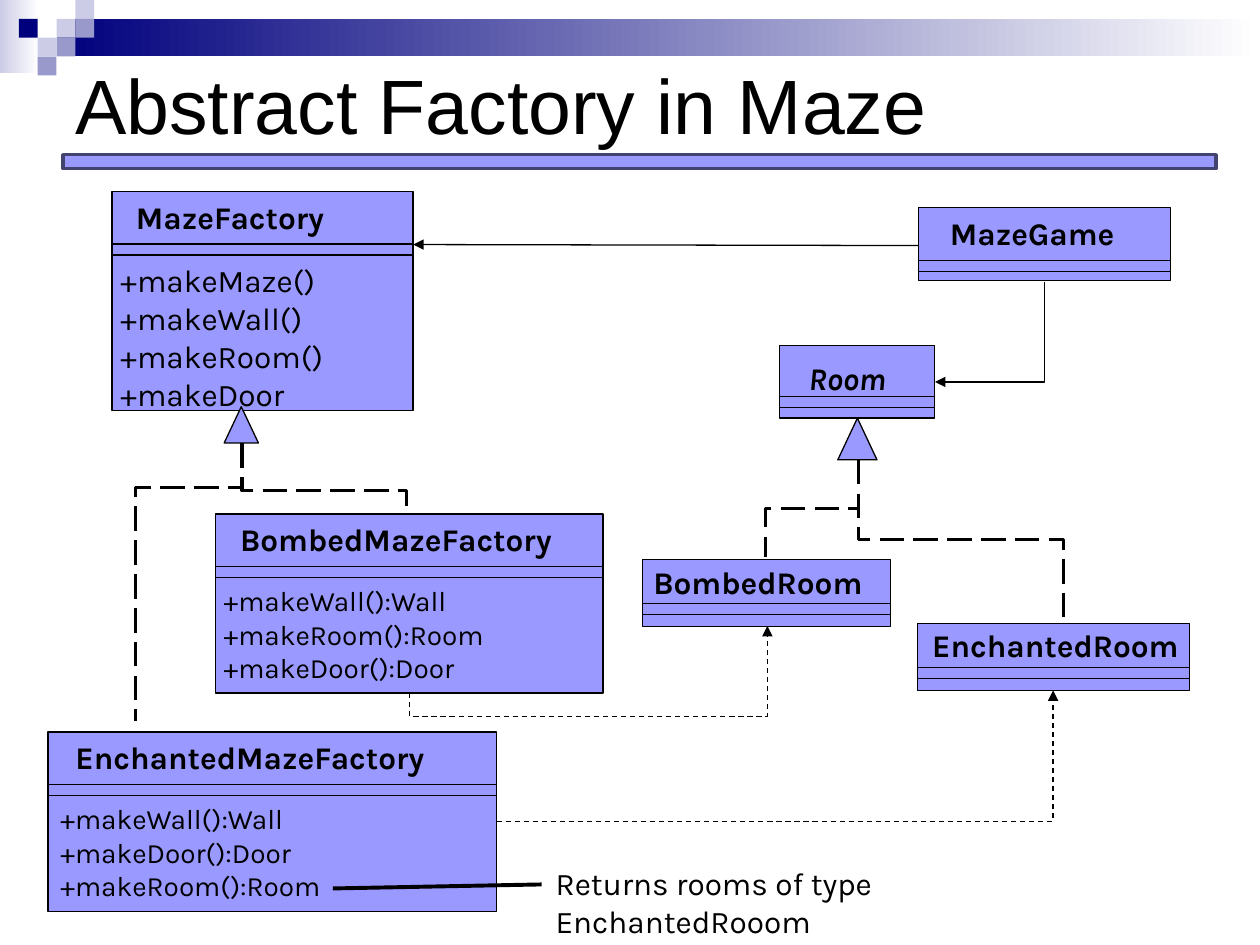
from lxml import etree
from pptx import Presentation
from pptx.dml.color import RGBColor
from pptx.enum.dml import MSO_LINE
from pptx.enum.shapes import MSO_CONNECTOR, MSO_SHAPE
from pptx.enum.text import MSO_ANCHOR, PP_ALIGN
from pptx.oxml.ns import qn
from pptx.util import Cm, Pt

RECT, PEAK = MSO_SHAPE.RECTANGLE, MSO_SHAPE.ISOSCELES_TRIANGLE
STRAIGHT, ELBOW = MSO_CONNECTOR.STRAIGHT, MSO_CONNECTOR.ELBOW
DASH, LONG = MSO_LINE.DASH, MSO_LINE.LONG_DASH
TOP, MIDDLE = MSO_ANCHOR.TOP, MSO_ANCHOR.MIDDLE
LEFT = PP_ALIGN.LEFT

BLACK, FILL, EDGE = "000000", "9999FF", "434370"
NAVY, PALE, MID, WHITE = "00007D", "CCCCE6", "9999CC", "FFFFFF"
UNIT = 0.38
TILES = [(3, 1, PALE), (4, 0, PALE), (4, 1, MID), (2, 2, PALE),
         (1, 1, NAVY), (3, 2, MID), (2, 3, MID)]


def paint(code):
    return RGBColor.from_string(code)


def write(frame, text, size=18, font="Karla", color=BLACK, bold=False,
          italic=False):
    for n, line in enumerate(text.split("\n")):
        para = frame.add_paragraph() if n else frame.paragraphs[0]
        para.alignment = LEFT
        run = para.add_run()
        run.text = line
        face = run.font
        face.name, face.size = font, Pt(size)
        face.bold, face.italic = bold, italic
        face.color.rgb = paint(color)


class Board:
    def __init__(self, slide, fill=FILL, ink=BLACK, thin=0.75):
        self.shapes = slide.shapes
        self.fill, self.ink, self.thin = fill, ink, thin

    def shape(self, kind, x, y, w, h, fill=None, edge=None, width=None):
        item = self.shapes.add_shape(kind, Cm(x), Cm(y), Cm(w), Cm(h))
        item.shadow.inherit = False
        item.fill.solid()
        item.fill.fore_color.rgb = paint(fill or self.fill)
        item.line.color.rgb = paint(edge or self.ink)
        item.line.width = Pt(width or self.thin)
        return item

    def tile(self, x, y, w, h, fill):
        item = self.shape(RECT, x, y, w, h, fill)
        item.line.fill.background()
        return item

    def fade(self, x, y, w, h, start):
        fill = self.tile(x, y, w, h, start).fill
        fill.gradient()
        fill.gradient_angle = 0
        for stop, code, place in zip(fill.gradient_stops, (start, WHITE), (0, 1)):
            stop.color.rgb = paint(code)
            stop.position = place

    def text(self, x, y, w, h, text, wrap=False, anchor=TOP, right=0.25, **style):
        frame = self.shapes.add_textbox(Cm(x), Cm(y), Cm(w), Cm(h)).text_frame
        frame.word_wrap, frame.vertical_anchor = wrap, anchor
        frame.margin_right = Cm(right)
        write(frame, text, **style)

    def line(self, x1, y1, x2, y2, width=None, dash=None, arrow=False,
             kind=STRAIGHT):
        item = self.shapes.add_connector(kind, Cm(x1), Cm(y1), Cm(x2), Cm(y2))
        item.line.color.rgb = paint(self.ink)
        item.line.width = Pt(width or self.thin)
        if dash:
            item.line.dash_style = dash
        if arrow:
            ln = item.line._get_or_add_ln()
            etree.SubElement(ln, qn("a:tailEnd"), type="triangle")
        etree.SubElement(item._element.spPr, qn("a:effectLst"))
        return item

    def bend(self, x1, y1, x2, y2, turn=None, down=True, **style):
        turned = (x1, y1, x2, y2)
        if down:
            side = -1 if x2 > x1 and y2 > y1 else 1
            mx, my = (x1 + x2) / 2, (y1 + y2) / 2
            dx, dy = side * (x2 - x1) / 2, side * (y2 - y1) / 2
            turned = (mx - dy, my + dx, mx + dy, my - dx)
        item = self.line(*turned, kind=ELBOW, **style)
        if down:
            item.rotation = 90 * side % 360
        geom = item._element.spPr.find(qn("a:prstGeom"))
        if turn is None:
            geom.set("prst", "bentConnector2")
        else:
            guides = geom.find(qn("a:avLst"))
            etree.SubElement(guides, qn("a:gd"), name="adj1",
                             fmla=f"val {round(turn * 100000)}")

    def box(self, x, y, w, h, rule, name, dx, dy, wide, body="", shift=0,
            size=16, italic=False):
        self.shape(RECT, x, y, w, h)
        self.text(x + dx, y + dy, wide, 1.02, name, bold=True, italic=italic)
        if body:
            tall = 0.25 + 0.0425 * size * (body.count("\n") + 1)
            self.text(x + shift, y + 1.28, 5.79, tall, body, size=size)
        for level in (y + rule, y + rule + 0.22):
            self.line(x, level, x + w, level)


def main():
    deck = Presentation()
    deck.slide_width, deck.slide_height = Cm(25.4), Cm(19.05)
    board = Board(deck.slides.add_slide(deck.slide_layouts[6]))

    board.fade(0, 0, 0.79, 1.47, PALE)
    board.fade(1.14, 0.38, 24.26, 0.76, NAVY)
    for col, row, code in TILES:
        board.tile(col * UNIT, row * UNIT, UNIT, UNIT, code)
    board.shape(RECT, 1.27, 3.12, 23.24, 0.28, edge=EDGE, width=2)
    board.text(1.27, 0.18, 22.86, 3.81, "Abstract Factory in Maze", wrap=True,
               anchor=MIDDLE, size=44, font="Arial")

    board.box(15.72, 6.96, 3.12, 1.47, 1.04, "Room", 0.33, 0.15, 2.39,
              italic=True)
    board.box(18.49, 12.57, 5.49, 1.35, 0.89, "EnchantedRoom", 0.05, -0.08, 5.79)
    board.box(12.95, 11.28, 5, 1.35, 0.89, "BombedRoom", -0.03, -0.05, 5.03)
    board.box(18.52, 4.19, 5.08, 1.47, 1.06, "MazeGame", 0.38, 0, 4.01)
    board.box(4.34, 10.36, 7.82, 3.61, 1.06, "BombedMazeFactory", 0.25, 0, 7.16,
              "+makeWall():Wall\n+makeRoom():Room\n+makeDoor():Door", -0.08)
    board.box(0.97, 14.76, 9.04, 3.61, 1.06, "EnchantedMazeFactory", 0.3, 0, 9.42,
              "+makeWall():Wall\n+makeDoor():Door\n+makeRoom():Room")
    board.box(2.26, 3.86, 6.07, 4.42, 1.06, "MazeFactory", 0.23, 0, 4.55,
              "+makeMaze()\n+makeWall()\n+makeRoom()\n+makeDoor", -0.08, 18)

    board.shape(PEAK, 16.89, 8.43, 0.79, 0.84)
    board.shape(PEAK, 4.52, 8.2, 0.69, 0.73)
    for route in [(4.88, 8.94, 8.2, 10.36, 0.67), (4.88, 8.94, 2.74, 14.53, 0.16),
                  (17.3, 9.27, 21.44, 12.5, 0.5), (17.3, 9.27, 15.44, 11.23, 0.5)]:
        board.bend(*route, width=1.75, dash=LONG)

    board.line(18.52, 4.95, 8.33, 4.93, arrow=True)
    board.bend(21.06, 5.69, 18.85, 7.7, arrow=True)
    board.bend(10.01, 16.56, 21.23, 13.92, down=False, dash=DASH, arrow=True)
    board.bend(8.26, 13.97, 15.47, 12.62, turn=-0.35, dash=DASH, arrow=True)

    board.text(10.95, 17.3, 11.86, 1.02, "Returns rooms of type EnchantedRooom",
               wrap=True, right=4)
    board.line(6.71, 17.91, 10.92, 17.83, width=2.25)
    deck.save("out.pptx")


if __name__ == "__main__":
    main()
